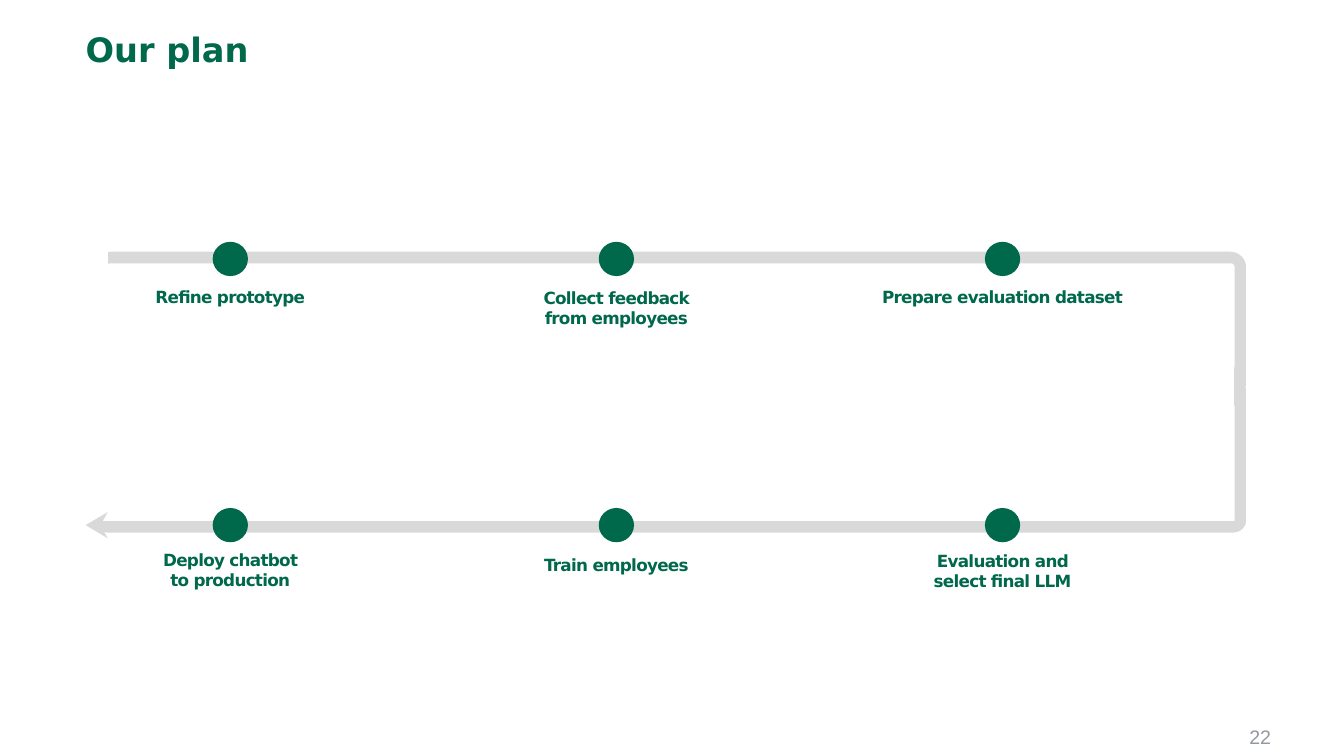
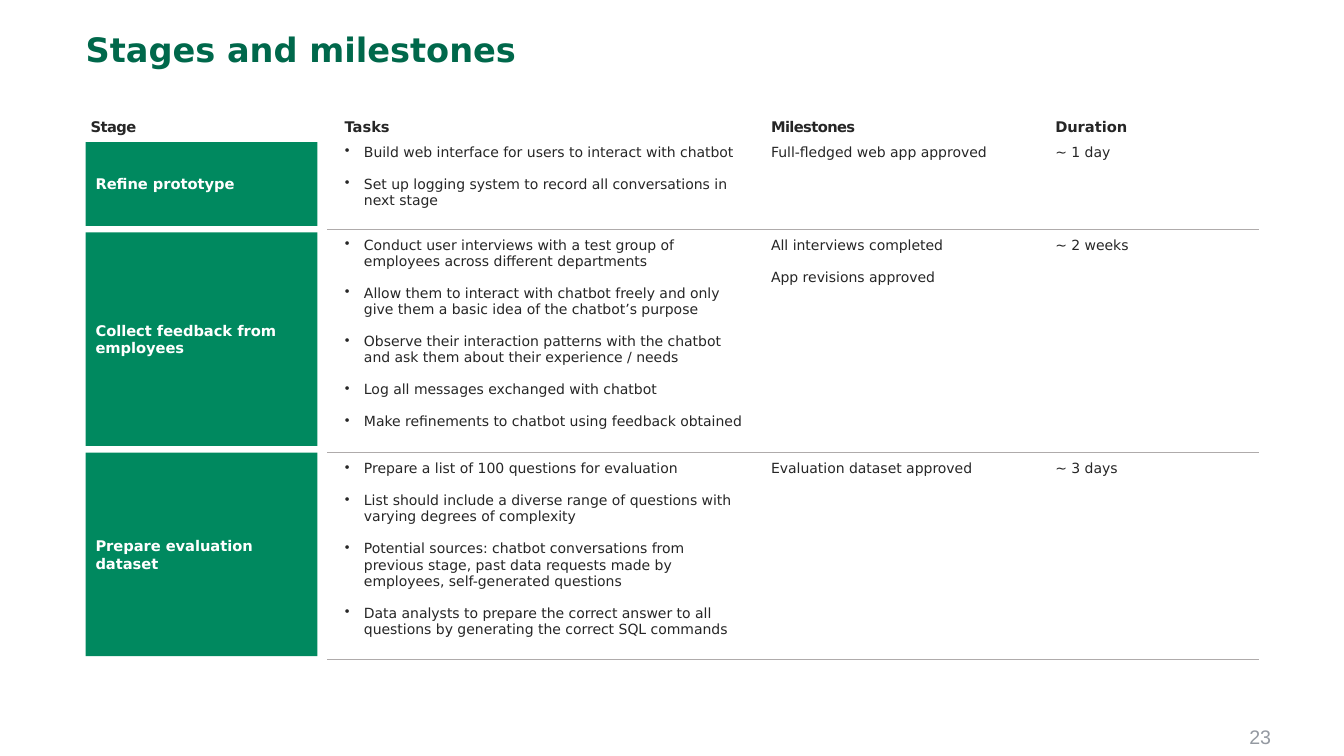
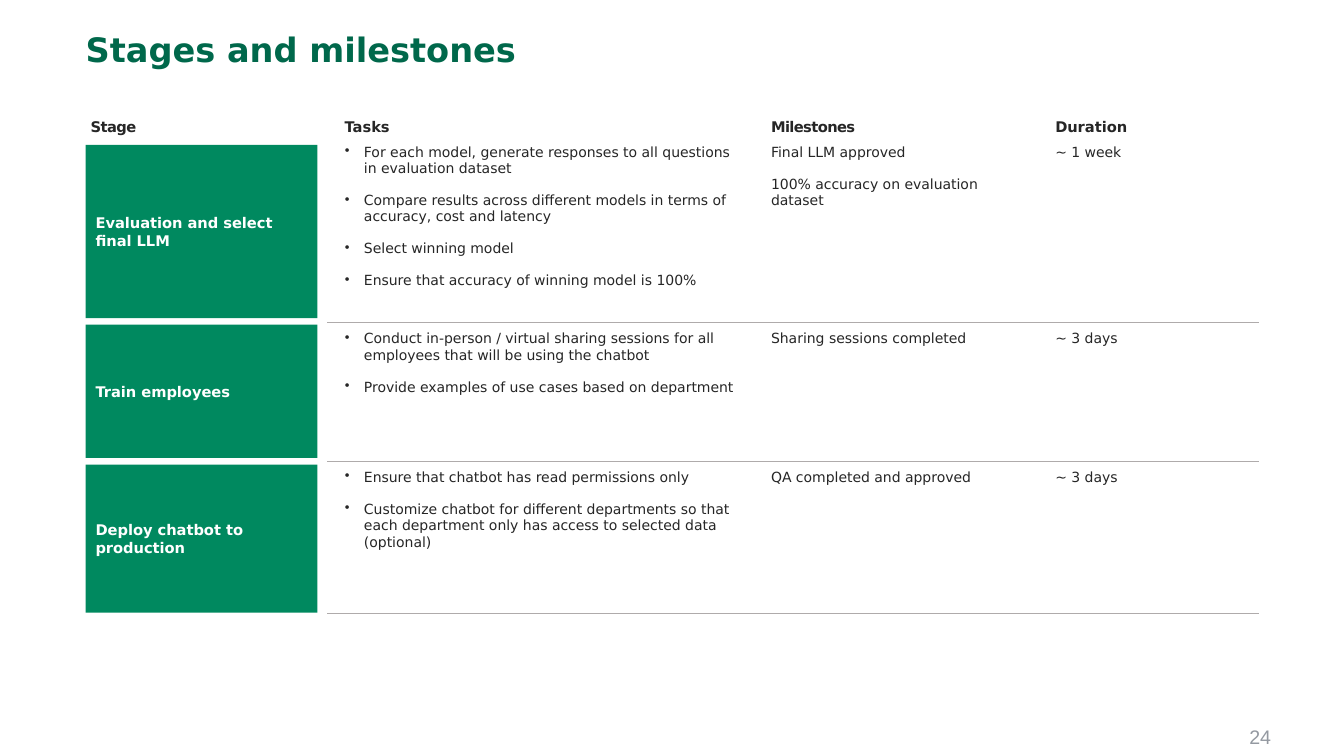
"""Build the project plan slides: a timeline and two stage tables."""
from pptx import Presentation
from pptx.dml.color import RGBColor
from pptx.enum.shapes import MSO_SHAPE
from pptx.enum.text import MSO_ANCHOR, MSO_AUTO_SIZE, PP_ALIGN
from pptx.oxml.ns import qn
from pptx.util import Pt
from lxml import etree

DARK_GREEN = RGBColor(0x00, 0x68, 0x4B)
GREEN = RGBColor(0x00, 0x89, 0x5F)
TRACK_GRAY = RGBColor(0xD9, 0xD9, 0xD9)
RULE_GRAY = RGBColor(0xAF, 0xAB, 0xAB)
NUMBER_GRAY = RGBColor(0x94, 0x99, 0xA1)
INK = RGBColor(0x26, 0x26, 0x26)
WHITE = RGBColor(0xFF, 0xFF, 0xFF)
BODY_FONT = "DejaVu Sans"
NUMBER_FONT = "Arial"
FIRST_NUMBER = 22

MILESTONE_ROWS = [
    (185, [("Refine prototype", 118, 203.8),
           ("Collect feedback from employees", 118, 204.5),
           ("Prepare evaluation dataset", 186.5, 203.8)]),
    (375.1, [("Deploy chatbot to production", 105.8, 391.7),
             ("Train employees", 118, 395.3),
             ("Evaluation and select final LLM", 118, 392.4)]),
]
FIRST_DOT_X, DOT_STEP = 164.5, 275.8
DOT_WIDTH, DOT_HEIGHT = 25.2, 24.5
TRACK_HALVES = [
    (179.3, ["flipH"], (0.089, 0.211, 0, 0.111, 0.142)),
    (276.5, ["flipH", "flipV"], (0.089, 0.211, 0, 0.111, 0.089)),
]
ARROW_OUTLINE = [(61.2, 375.1), (77, 365.8), (73.4, 372.2), (879.8, 372.2),
                 (879.8, 378), (73.4, 378), (77, 384.5)]

HEADERS = [("Stage", -0.4), ("Tasks", 0), ("Milestones", -0.4), ("Duration", 0)]
COLUMN_WIDTHS = [181.4, 304.6, 203, 157]
HEADER_HEIGHT = 18.9
STAGE_GAP = 4.7
STAGE_SLIDES = [
    (101.5, [
        ("Refine prototype", 66.2, 59.8,
         ["Build web interface for users to interact with chatbot",
          "Set up logging system to record all conversations in next stage"],
         ["Full-fledged web app approved"], "~ 1 day"),
        ("Collect feedback from employees", 159.6, 152.6,
         ["Conduct user interviews with a test group of employees across different departments",
          "Allow them to interact with chatbot freely and only give them a basic idea of the chatbot’s purpose",
          "Observe their interaction patterns with the chatbot and ask them about their experience / needs",
          "Log all messages exchanged with chatbot",
          "Make refinements to chatbot using feedback obtained"],
         ["All interviews completed", "App revisions approved"], "~ 2 weeks"),
        ("Prepare evaluation dataset", 148, 145.4,
         ["Prepare a list of 100 questions for evaluation",
          "List should include a diverse range of questions with varying degrees of complexity",
          "Potential sources: chatbot conversations from previous stage, past data requests made by "
          "employees, self-generated questions",
          "Data analysts to prepare the correct answer to all questions by generating the correct SQL commands"],
         ["Evaluation dataset approved"], "~ 3 days"),
    ]),
    (103.5, [
        ("Evaluation and select final LLM", 133.2, 123.8,
         ["For each model, generate responses to all questions in evaluation dataset",
          "Compare results across different models in terms of accuracy, cost and latency",
          "Select winning model",
          "Ensure that accuracy of winning model is 100%"],
         ["Final LLM approved", "100% accuracy on evaluation dataset"], "~ 1 week"),
        ("Train employees", 99, 95.2,
         ["Conduct in-person / virtual sharing sessions for all employees that will be using the chatbot",
          "Provide examples of use cases based on department"],
         ["Sharing sessions completed"], "~ 3 days"),
        ("Deploy chatbot to production", 108.7, 105.8,
         ["Ensure that chatbot has read permissions only",
          "Customize chatbot for different departments so that each department only has access to "
          "selected data (optional)"],
         ["QA completed and approved"], "~ 3 days"),
    ]),
]


def style(paragraph, size, color, bold=False, name=BODY_FONT, spacing=0):
    font = paragraph.font
    font.name, font.size, font.bold = name, Pt(size), bold
    font.color.rgb = color
    if spacing:
        for run in paragraph.runs:
            run._r.get_or_add_rPr().set("spc", str(round(spacing * 100)))


def set_margins(target, left=0, top=0, right=0, bottom=0):
    target.margin_left, target.margin_top = Pt(left), Pt(top)
    target.margin_right, target.margin_bottom = Pt(right), Pt(bottom)


def paint(shape, fill, line=None):
    shape.shadow.inherit = False
    shape.fill.solid()
    shape.fill.fore_color.rgb = fill
    if line is None:
        shape.line.fill.background()
    else:
        shape.line.color.rgb = line
        shape.line.width = Pt(1)


def add_block(slide, kind, left, top, width, height, fill, line=None):
    shape = slide.shapes.add_shape(kind, Pt(left), Pt(top), Pt(width), Pt(height))
    paint(shape, fill, line)
    return shape


def add_label(slide, text, left, top, width, height, alignment):
    box = slide.shapes.add_textbox(Pt(left), Pt(top), Pt(width), Pt(height))
    frame = box.text_frame
    frame.word_wrap = True
    set_margins(frame)
    frame.text = text
    paragraph = frame.paragraphs[0]
    paragraph.alignment = alignment
    return paragraph


def add_slide(presentation, title):
    slide = presentation.slides.add_slide(presentation.slide_layouts[5])
    heading = slide.shapes.title
    heading.left, heading.top, heading.width, heading.height = Pt(61.2), Pt(23.8), Pt(797), Pt(74.2)
    frame = heading.text_frame
    frame.text = title
    frame.auto_size = MSO_AUTO_SIZE.NONE
    frame.vertical_anchor = MSO_ANCHOR.TOP
    set_margins(frame)
    paragraph = frame.paragraphs[0]
    paragraph.alignment = PP_ALIGN.LEFT
    paragraph.line_spacing = 0.9
    style(paragraph, 24, DARK_GREEN, bold=True)
    number = FIRST_NUMBER + len(presentation.slides) - 1
    paragraph = add_label(slide, str(number), 692, 517.7, 216, 22.3, PP_ALIGN.RIGHT)
    style(paragraph, 14, NUMBER_GRAY, name=NUMBER_FONT)
    return slide


def add_track(slide):
    for top, flips, adjustments in TRACK_HALVES:
        half = add_block(slide, MSO_SHAPE.U_TURN_ARROW, 49.7, top, 841, 104.4, TRACK_GRAY, WHITE)
        for index, value in enumerate(adjustments):
            half.adjustments[index] = value
        for flip in flips:
            half.element.spPr.find(qn("a:xfrm")).set(flip, "1")
    points = [(Pt(x), Pt(y)) for x, y in ARROW_OUTLINE]
    builder = slide.shapes.build_freeform(*points[0])
    builder.add_line_segments(points[1:], close=True)
    paint(builder.convert_to_shape(), TRACK_GRAY)
    add_block(slide, MSO_SHAPE.ROUNDED_RECTANGLE, 41.8, 172.8, 35.3, 23.8, WHITE)
    add_block(slide, MSO_SHAPE.ROUNDED_RECTANGLE, 881.6, 261.7, 7.9, 28.8, TRACK_GRAY)


def add_timeline(presentation):
    slide = add_slide(presentation, "Our plan")
    add_track(slide)
    for center_y, milestones in MILESTONE_ROWS:
        for index, (text, width, top) in enumerate(milestones):
            center_x = FIRST_DOT_X + index * DOT_STEP
            add_block(slide, MSO_SHAPE.OVAL, center_x - DOT_WIDTH / 2, center_y - DOT_HEIGHT / 2,
                      DOT_WIDTH, DOT_HEIGHT, DARK_GREEN)
            paragraph = add_label(slide, text, center_x - width / 2, top + 0.7, width, 30,
                                  PP_ALIGN.CENTER)
            style(paragraph, 12, DARK_GREEN, bold=True, spacing=-0.5)


def add_rule(cell, side):
    line = etree.SubElement(cell._tc.get_or_add_tcPr(), qn(f"a:{side}"), w=str(Pt(0.5)))
    fill = etree.SubElement(line, qn("a:solidFill"))
    etree.SubElement(fill, qn("a:srgbClr"), val=str(RULE_GRAY))


def add_bullet(paragraph):
    properties = paragraph._p.get_or_add_pPr()
    properties.set("marL", str(Pt(20.2)))
    properties.set("indent", str(Pt(-13.7)))
    etree.SubElement(properties, qn("a:buChar"), char="•")


def fill_cell(cell, lines, bulleted):
    set_margins(cell, 5.8 if bulleted else 12.2, 5.8, 5.8, 5.8)
    frame = cell.text_frame
    frame.text = "\n".join(lines)
    for index, paragraph in enumerate(frame.paragraphs):
        if index:
            paragraph.space_before = Pt(11.2)
        if bulleted:
            add_bullet(paragraph)
        style(paragraph, 10, INK)


def add_stage_table(slide, stages):
    heights = [HEADER_HEIGHT] + [stage[1] for stage in stages]
    table = slide.shapes.add_table(len(heights), len(HEADERS), Pt(52.6), Pt(78.5),
                                   Pt(sum(COLUMN_WIDTHS)), Pt(sum(heights))).table
    table.first_row = table.horz_banding = False
    for column, width in zip(table.columns, COLUMN_WIDTHS):
        column.width = Pt(width)
    for row, height in zip(table.rows, heights):
        row.height = Pt(height)
    for cell, (text, spacing) in zip(table.rows[0].cells, HEADERS):
        set_margins(cell, left=12.2)
        cell.text = text
        paragraph = cell.text_frame.paragraphs[0]
        paragraph.line_spacing = Pt(18.9)
        style(paragraph, 10.5, INK, bold=True, spacing=spacing)
    for row, (_, _, _, tasks, milestones, duration) in enumerate(stages, start=1):
        for column, lines in enumerate((tasks, milestones, [duration]), start=1):
            cell = table.cell(row, column)
            if row > 1:
                add_rule(cell, "lnT")
            add_rule(cell, "lnB")
            fill_cell(cell, lines, bulleted=lines is tasks)
    for cell in table.iter_cells():
        cell.fill.background()


def add_stages(presentation, top, stages):
    slide = add_slide(presentation, "Stages and milestones")
    add_stage_table(slide, stages)
    for name, _, height, *_ in stages:
        block = add_block(slide, MSO_SHAPE.RECTANGLE, 61.2, top, 165.6, height, GREEN)
        frame = block.text_frame
        frame.text = name
        frame.word_wrap = True
        frame.vertical_anchor = MSO_ANCHOR.MIDDLE
        paragraph = frame.paragraphs[0]
        paragraph.alignment = PP_ALIGN.LEFT
        style(paragraph, 10.5, WHITE, bold=True)
        top += height + STAGE_GAP


def main():
    presentation = Presentation()
    presentation.slide_width, presentation.slide_height = Pt(960), Pt(540)
    add_timeline(presentation)
    for top, stages in STAGE_SLIDES:
        add_stages(presentation, top, stages)
    presentation.save("out.pptx")


if __name__ == "__main__":
    main()
